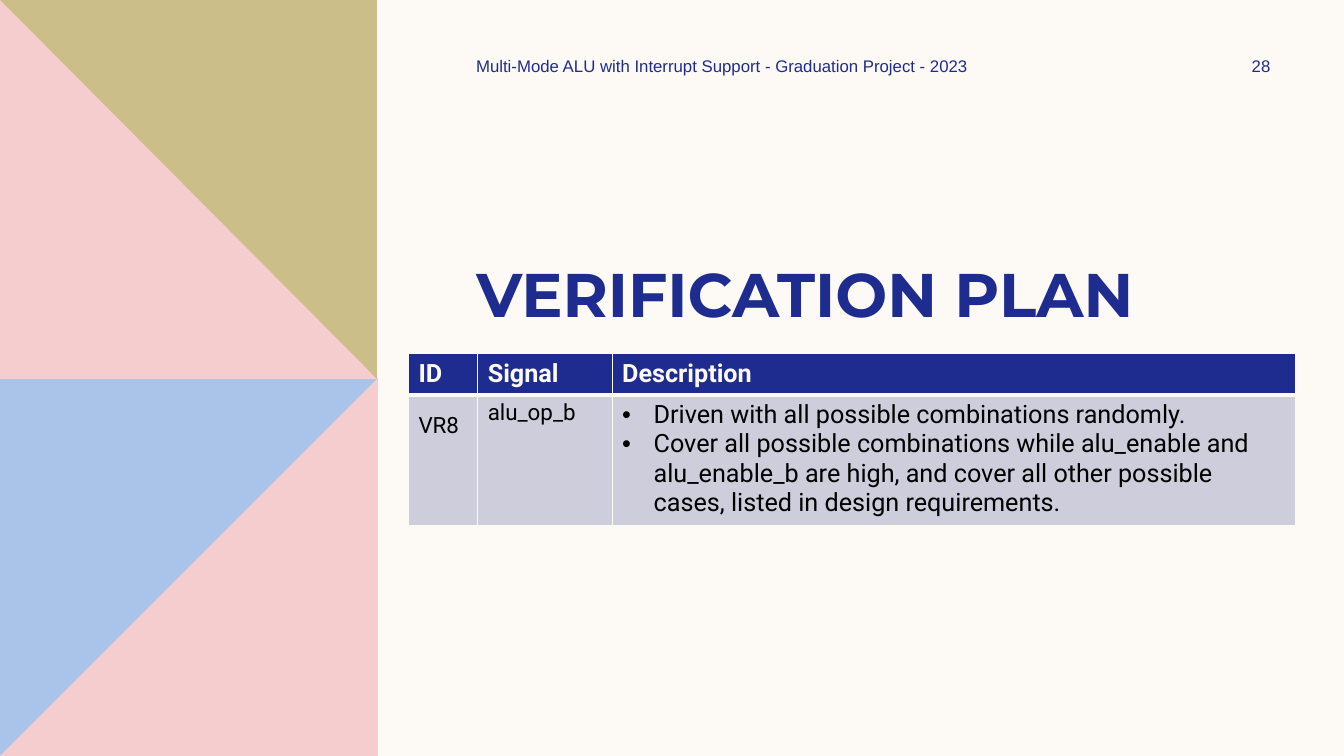
from lxml.etree import SubElement
from pptx import Presentation
from pptx.dml.color import RGBColor
from pptx.enum.text import MSO_ANCHOR as Anchor, MSO_AUTO_SIZE as AutoSize, PP_ALIGN as Align
from pptx.oxml.ns import qn
from pptx.util import Pt

PX = 9525
COLORS = {
    "cream": "FDFAF6",
    "navy": "1F2C8F",
    "blue": "AAC3E8",
    "pink": "F5CDCE",
    "olive": "CCBE89",
    "lavender": "CDCDDB",
    "black": "000000",
}
PANELS = [
    ("blue", [(0, 360), (360, 360), (360, 720), (0, 720)]),
    ("pink", [(360, 360), (360, 720), (0, 720)]),
    ("olive", [(0, 0), (359, 0), (359, 361), (0, 361)]),
    ("pink", [(0, 0), (359, 361), (0, 361)]),
]
COLUMN_WIDTHS = [66, 128, 651]
ROW_HEIGHTS = [39, 122]
HEADINGS = ["ID", "Signal", "Description"]
REQUIREMENTS = [
    "Driven with all possible combinations randomly.",
    "Cover all possible combinations while alu_enable and alu_enable_b are high, "
    "and cover all other possible cases, listed in design requirements.",
]


def color(name):
    return RGBColor.from_string(COLORS[name])


def paint(fill, name):
    fill.solid()
    fill.fore_color.rgb = color(name)


def add_run(paragraph, text, font, size, name, bold=False):
    run = paragraph.add_run()
    run.text = text
    run.font.name = font
    run.font.size = Pt(size)
    run.font.bold = bold
    run.font.color.rgb = color(name)


def add_panel(slide, name, points):
    outline = slide.shapes.build_freeform(*points[0], scale=PX)
    outline.add_line_segments(points[1:], close=True)
    panel = outline.convert_to_shape()
    panel.shadow.inherit = False
    paint(panel.fill, name)
    panel.line.fill.background()


def add_title(slide, text):
    title = slide.shapes.title
    title.left, title.top, title.width, title.height = (
        length * PX for length in (444, 239, 846, 81))
    frame = title.text_frame
    frame.auto_size = AutoSize.NONE
    frame.vertical_anchor = Anchor.TOP
    heading = frame.paragraphs[0]
    heading.alignment = Align.LEFT
    add_run(heading, text, "Montserrat", 44, "navy", True)


def add_header(slide, text, left, width, align):
    frame = slide.shapes.add_textbox(left * PX, 48 * PX, width * PX, 29 * PX).text_frame
    frame.word_wrap = True
    frame.vertical_anchor = Anchor.MIDDLE
    header = frame.paragraphs[0]
    header.alignment = align
    add_run(header, text, "Arial", 12, "navy")


def style_cell(cell, fill, top, bottom):
    properties = cell._tc.get_or_add_tcPr()
    for side, points in zip("LRTB", (1, 1, top, bottom)):
        border = SubElement(properties, qn(f"a:ln{side}"), w=str(Pt(points)))
        solid = SubElement(border, qn("a:solidFill"))
        SubElement(solid, qn("a:srgbClr"), val=COLORS["cream"])
    paint(cell.fill, fill)


def add_bullet(paragraph):
    properties = paragraph._p.get_or_add_pPr()
    properties.set("marL", str(30 * PX))
    properties.set("indent", str(-30 * PX))
    SubElement(properties, qn("a:buFont"), typeface="Arial")
    SubElement(properties, qn("a:buChar"), char="•")


def add_plan_table(slide):
    plan = slide.shapes.add_table(
        len(ROW_HEIGHTS), len(COLUMN_WIDTHS), 389 * PX, 337 * PX,
        sum(COLUMN_WIDTHS) * PX, sum(ROW_HEIGHTS) * PX).table
    for column, width in zip(plan.columns, COLUMN_WIDTHS):
        column.width = width * PX
    for row, height in zip(plan.rows, ROW_HEIGHTS):
        row.height = height * PX

    for index, heading in enumerate(HEADINGS):
        heading_cell = plan.cell(0, index)
        style_cell(heading_cell, "navy", 1, 3)
        add_run(heading_cell.text_frame.paragraphs[0], heading, "Roboto", 18, "cream", True)
        style_cell(plan.cell(1, index), "lavender", 3, 1)

    identifier, signal, description = (
        plan.cell(1, index).text_frame for index in range(len(HEADINGS)))
    identifier.paragraphs[0].line_spacing = 1.5
    add_run(identifier.paragraphs[0], "VR8", "Roboto", 16, "black")
    add_run(signal.paragraphs[0], "alu_op_b", "Roboto", 16, "black")
    for index, requirement in enumerate(REQUIREMENTS):
        item = description.add_paragraph() if index else description.paragraphs[0]
        add_bullet(item)
        add_run(item, requirement, "Roboto", 18, "black")


def main():
    deck = Presentation()
    deck.slide_width, deck.slide_height = 1280 * PX, 720 * PX
    slide = deck.slides.add_slide(deck.slide_layouts[5])
    paint(slide.background.fill, "cream")
    for name, points in PANELS:
        add_panel(slide, name, points)
    add_title(slide, "VERIFICATION PLAN")
    add_header(slide, "Multi-Mode ALU with Interrupt Support - Graduation Project - 2023",
               444, 576, Align.LEFT)
    add_header(slide, "28", 1149, 104, Align.CENTER)
    add_plan_table(slide)
    deck.save("out.pptx")


if __name__ == "__main__":
    main()
